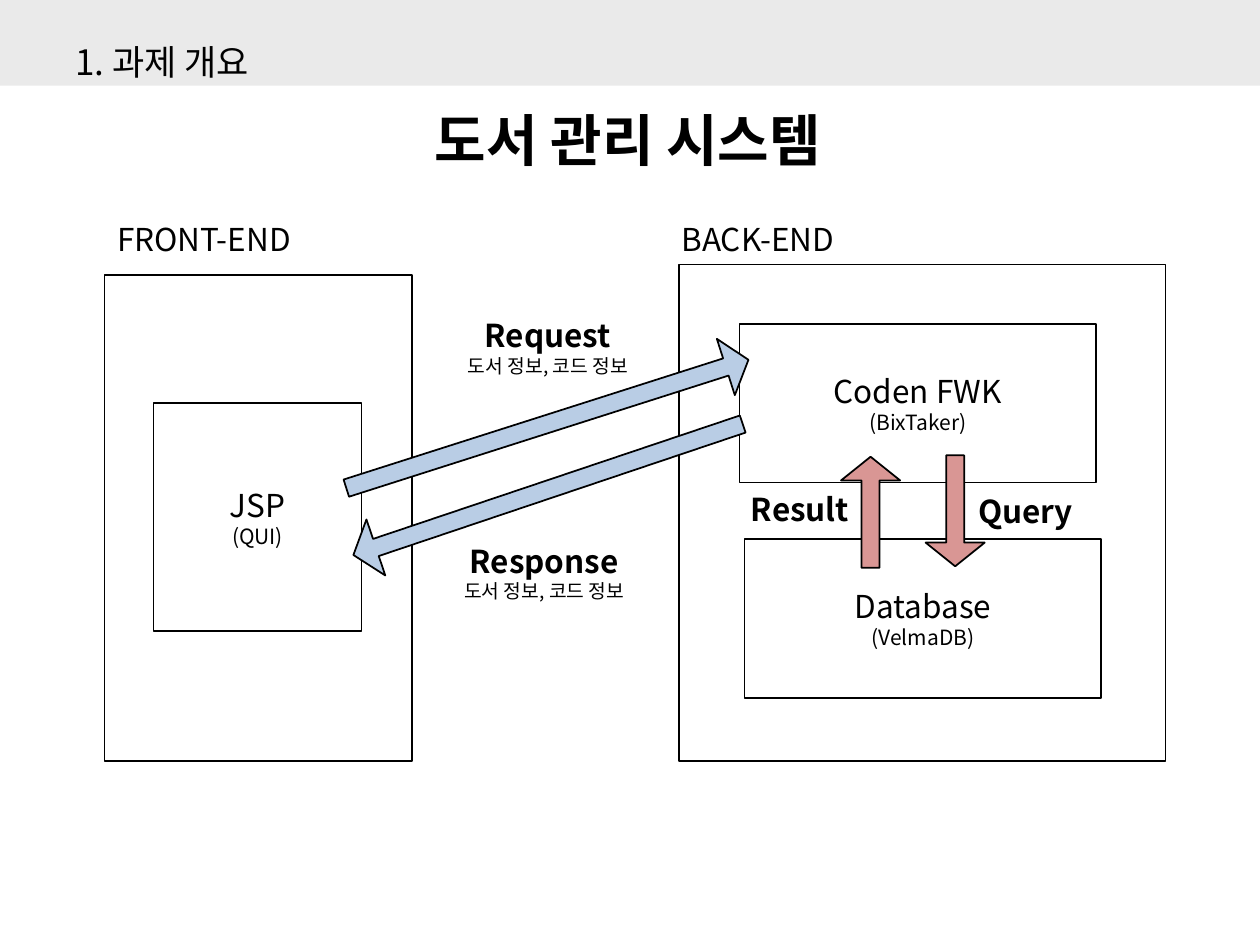
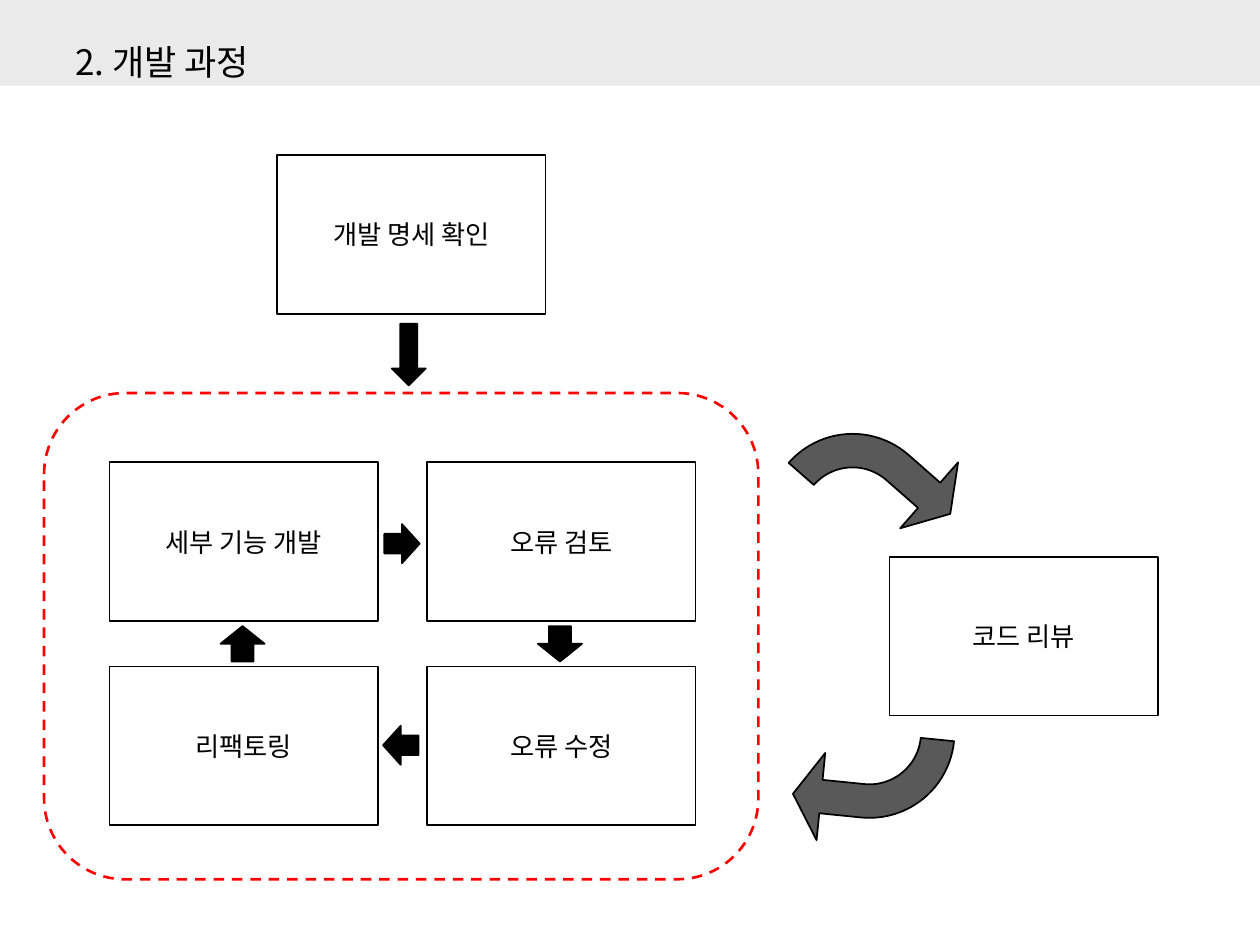
"""Build two slides: a system overview and a work process."""
from dataclasses import dataclass

from lxml import etree
from pptx import Presentation
from pptx.dml.color import RGBColor
from pptx.enum.dml import MSO_LINE
from pptx.enum.shapes import MSO_SHAPE
from pptx.enum.text import MSO_ANCHOR, PP_ALIGN
from pptx.oxml.ns import qn
from pptx.shapes.autoshape import Shape
from pptx.slide import Slide
from pptx.util import Pt

RECT, ROUND = MSO_SHAPE.RECTANGLE, MSO_SHAPE.ROUNDED_RECTANGLE
RIGHT, LEFT = MSO_SHAPE.RIGHT_ARROW, MSO_SHAPE.LEFT_ARROW
UP, DOWN = MSO_SHAPE.UP_ARROW, MSO_SHAPE.DOWN_ARROW
BENT = MSO_SHAPE.BENT_ARROW
TOP, MIDDLE = MSO_ANCHOR.TOP, MSO_ANCHOR.MIDDLE
START, CENTER = PP_ALIGN.LEFT, PP_ALIGN.CENTER
DASH = MSO_LINE.DASH

FONT = "Noto Sans CJK KR"
COLORS = {
    "white": "FFFFFF", "black": "000000", "band": "EAEAEA", "red": "FF0000",
    "blue": "B9CDE5", "rose": "D99694", "gray": "595959",
}
SLIM = (0.305, 0.401)
CURVE = (0.299, 0.391, 0.25, 0.758)


@dataclass(frozen=True)
class Line:
    """One line of text and its look."""
    text: str
    size: float
    bold: bool = False


@dataclass(frozen=True)
class Form:
    """One filled shape with its place, look and text."""
    left: float
    top: float
    width: float
    height: float
    kind: MSO_SHAPE = RECT
    fill: str = "white"
    edge: str | None = "black"
    turn: float = 0
    adjust: tuple[float, ...] = ()
    lines: tuple[Line, ...] = ()


@dataclass(frozen=True)
class Label:
    """One text box with its place, alignment and text."""
    left: float
    top: float
    width: float
    height: float
    lines: tuple[Line, ...]
    align: PP_ALIGN = CENTER
    anchor: MSO_ANCHOR = TOP


def get_color(name: str) -> RGBColor:
    """Return a named color."""
    return RGBColor.from_string(COLORS[name])


def write(shape: Shape, lines: tuple[Line, ...], align: PP_ALIGN, anchor: MSO_ANCHOR) -> None:
    """Put formatted lines into a shape."""
    frame = shape.text_frame
    frame.word_wrap = True
    frame.vertical_anchor = anchor
    frame.text = "\n".join(line.text for line in lines)
    for part, line in zip(frame.paragraphs, lines):
        part.alignment = align
        font = part.runs[0].font
        font.size, font.bold, font.name = Pt(line.size), line.bold, FONT
        font.color.rgb = get_color("black")
        props = part.runs[0]._r.get_or_add_rPr()
        etree.SubElement(props, qn("a:ea")).set("typeface", FONT)


def draw(slide: Slide, form: Form) -> Shape:
    """Draw one filled shape."""
    shape = slide.shapes.add_shape(
        form.kind, Pt(form.left), Pt(form.top), Pt(form.width), Pt(form.height))
    shape.shadow.inherit = False
    shape.rotation = form.turn
    shape.fill.solid()
    shape.fill.fore_color.rgb = get_color(form.fill)
    if form.edge:
        shape.line.color.rgb = get_color(form.edge)
        shape.line.width = Pt(1)
    else:
        shape.line.fill.background()
    for index, value in enumerate(form.adjust):
        shape.adjustments[index] = value
    if form.lines:
        write(shape, form.lines, CENTER, MIDDLE)
    return shape


def note(slide: Slide, label: Label) -> None:
    """Draw one text box."""
    box = slide.shapes.add_textbox(
        Pt(label.left), Pt(label.top), Pt(label.width), Pt(label.height))
    write(box, label.lines, label.align, label.anchor)


def start(deck: Presentation, title: str) -> Slide:
    """Add a blank slide with the band and its title."""
    slide = deck.slides.add_slide(deck.slide_layouts[6])
    draw(slide, Form(0, 0, 720, 49, fill="band", edge=None))
    note(slide, Label(36, 21.6, 284.4, 27.4, (Line(title, 20),), START, MIDDLE))
    return slide


def pair(head: str, tail: str, small: float, bold: bool = False) -> tuple[Line, ...]:
    """Return a large line with a small one under it."""
    return Line(head, 18, bold), Line(tail, small)


def show_system(deck: Presentation) -> None:
    """Build the system overview."""
    slide = start(deck, "1. 과제 개요")
    data = "도서 정보, 코드 정보"
    forms = (
        Form(59.8, 157, 175.7, 277.9),
        Form(388.1, 151.2, 277.9, 283.7),
        Form(422.6, 185, 203.8, 90.7, lines=pair("Coden FWK", "(BixTaker)", 12)),
        Form(425.5, 308.2, 203.8, 90.7, lines=pair("Database", "(VelmaDB)", 12)),
        Form(87.8, 230.4, 118.8, 130.3, lines=pair("JSP", "(QUI)", 12)),
    )
    for form in forms:
        draw(slide, form)
    for left, top, width, turn, fill in (
        (192.2, 225.4, 241.2, 342.3, "blue"),
        (195.8, 262.8, 234.7, 161.4, "blue"),
        (514.1, 275, 63.4, 90, "rose"),
        (465.8, 275.8, 63.4, 270, "rose"),
    ):
        draw(slide, Form(left, top, width, 33.8, RIGHT, fill, turn=turn, adjust=SLIM))
    labels = (
        Label(75.6, 49, 566.6, 60.5, (Line("도서 관리 시스템", 32, True),), anchor=MIDDLE),
        Label(59.8, 122.4, 147.6, 28.8, (Line("FRONT-END", 18),), START),
        Label(382.3, 122.4, 147.6, 28.8, (Line("BACK-END", 18),), START),
        Label(242.6, 177.1, 141.1, 43.9, pair("Request", data, 11, True)),
        Label(240.5, 306, 141.1, 43.9, pair("Response", data, 11, True)),
        Label(549.4, 277.9, 73.4, 28.8, (Line("Query", 18, True),)),
        Label(420.5, 276.5, 73.4, 28.8, (Line("Result", 18, True),)),
    )
    for label in labels:
        note(slide, label)


def show_process(deck: Presentation) -> None:
    """Build the work process."""
    slide = start(deck, "2. 개발 과정")
    frame = draw(slide, Form(25.2, 224.6, 408.2, 277.9, ROUND, edge="red"))
    frame.line.width, frame.line.dash_style = Pt(1.5), DASH
    west, east, north, south = 62.6, 244.1, 264.2, 380.9
    for text, left, top in (
        ("개발 명세 확인", 158.4, 88.6),
        ("세부 기능 개발", west, north),
        ("오류 검토", east, north),
        ("오류 수정", east, south),
        ("리팩토링", west, south),
        ("코드 리뷰", 508.3, 318.2),
    ):
        draw(slide, Form(left, top, 153.4, 90.7, lines=(Line(text, 15),)))
    for kind, left, top, width, height in (
        (DOWN, 223.9, 185, 19.4, 35.3),
        (RIGHT, 219.6, 299.5, 20.2, 22.3),
        (DOWN, 307.4, 357.8, 25.2, 20.2),
        (LEFT, 218.9, 414.7, 20.2, 22.3),
        (UP, 126, 357.8, 25.2, 20.2),
    ):
        draw(slide, Form(left, top, width, height, kind, "black"))
    for left, top, turn in ((460.8, 237.6, 41.3), (453.6, 419, 185.7)):
        draw(slide, Form(left, top, 88.6, 64.1, BENT, "gray", turn=turn, adjust=CURVE))


def main() -> None:
    """Build and save the deck."""
    deck = Presentation()
    deck.slide_width, deck.slide_height = Pt(720), Pt(540)
    show_system(deck)
    show_process(deck)
    deck.save("out.pptx")


main()
